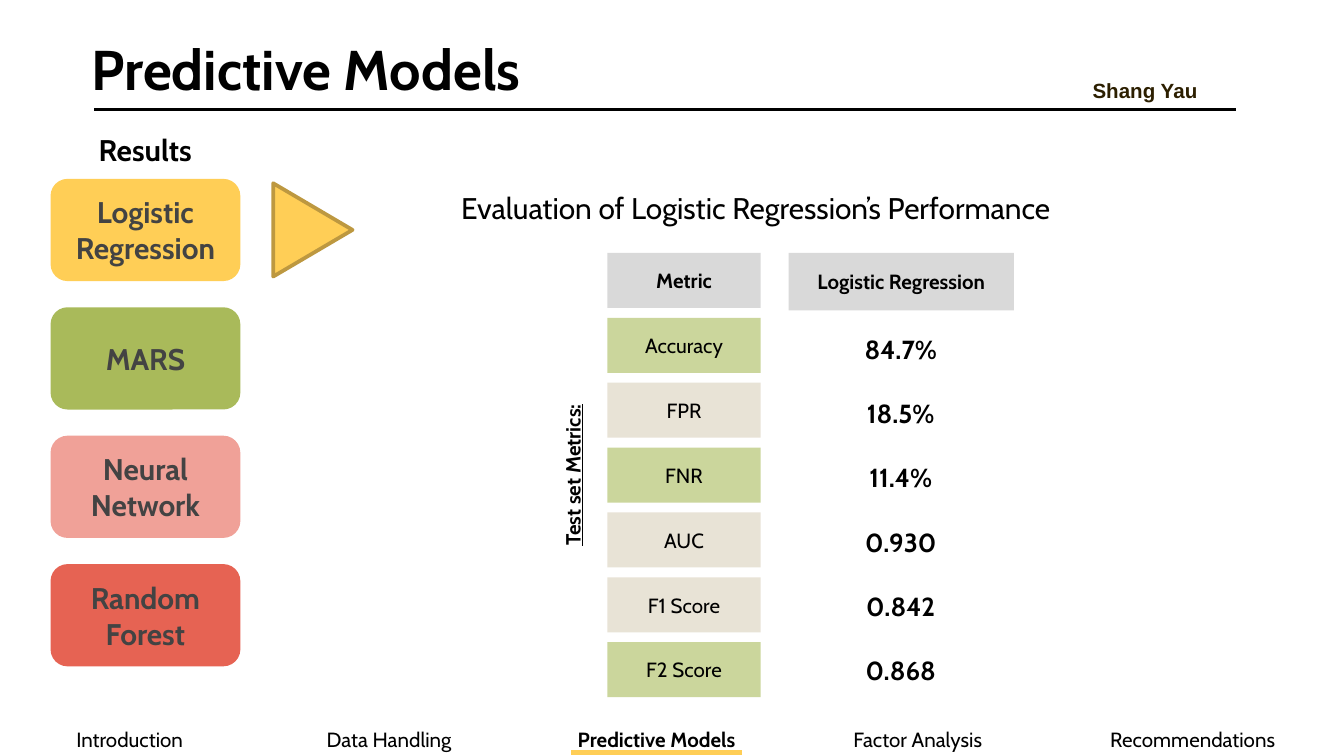
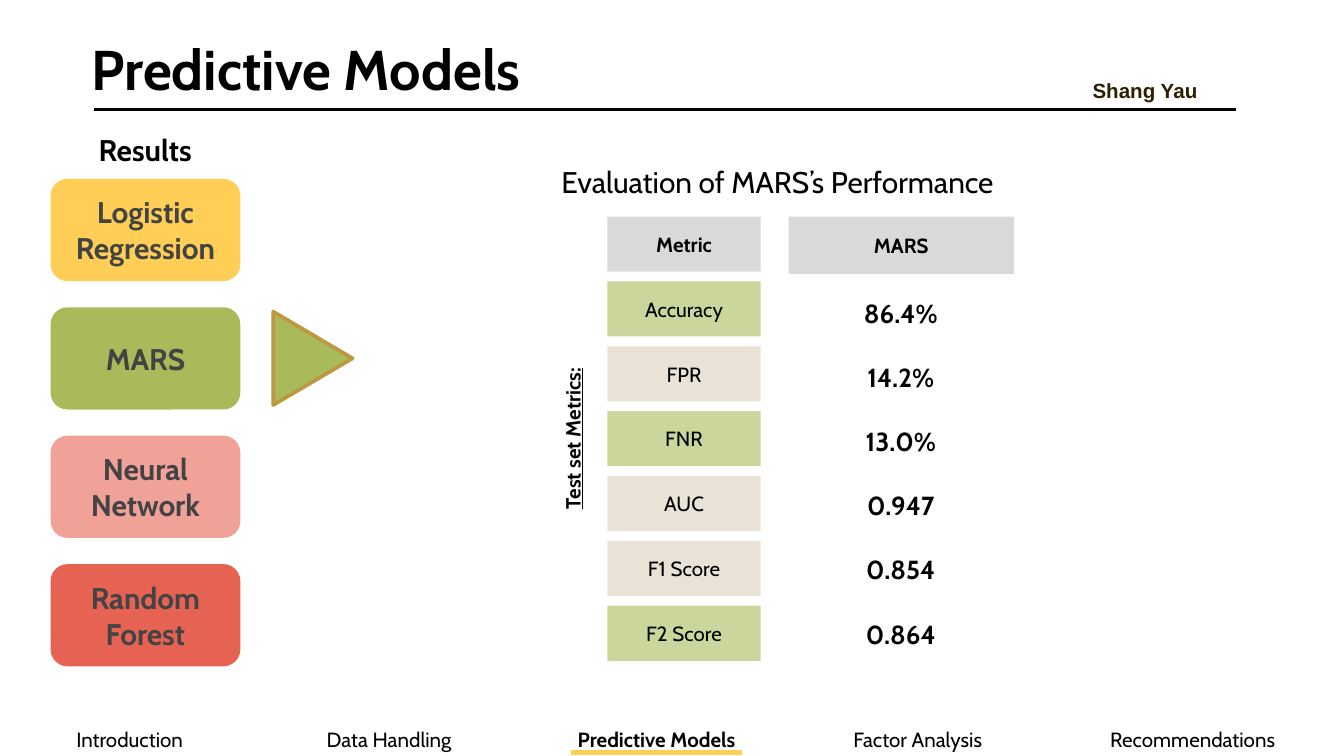
from dataclasses import dataclass

from lxml import etree
from pptx import Presentation
from pptx.dml.color import RGBColor
from pptx.enum.shapes import MSO_CONNECTOR, MSO_SHAPE
from pptx.enum.text import MSO_ANCHOR, MSO_AUTO_SIZE, PP_ALIGN
from pptx.oxml.ns import qn
from pptx.shapes.autoshape import Shape
from pptx.slide import Slide
from pptx.text.text import TextFrame
from pptx.util import Pt

BLACK, CHARCOAL, AUTHOR_BROWN = "000000", "434343", "2C1F00"
YELLOW, ARROW_EDGE = "FFCE56", "BD9840"
HEADER_GRAY, METRIC_GREEN, METRIC_BEIGE = "D9D9D9", "CBD69C", "E8E3D6"

SECTIONS = ["Introduction", "Data Handling", "Predictive Models",
            "Factor Analysis", "Recommendations"]
SECTION_WIDTHS = [139, 139, 147.6, 132.4, 162]
CURRENT_SECTION = "Predictive Models"

# Model buttons and metric grid
BUTTON_LEFT, BUTTON_TOP, BUTTON_PITCH = 27.1, 95.8, 68.8
BUTTON_WIDTH, BUTTON_HEIGHT = 101.7, 54.8
METRIC_LEFT, METRIC_WIDTH, METRIC_HEIGHT, METRIC_PITCH = 325.4, 82.2, 29.5, 34.75
VALUE_OFFSET, VALUE_PITCH = 39.6, 34.4


@dataclass(frozen=True)
class Box:
    left: float
    top: float
    width: float
    height: float


@dataclass(frozen=True)
class TextStyle:
    size: float
    bold: bool = False
    color: str = BLACK
    font: str = "Cabin"
    underline: bool = False
    align: PP_ALIGN = PP_ALIGN.CENTER
    anchor: MSO_ANCHOR = MSO_ANCHOR.MIDDLE
    inset: float = 7.2  # top and bottom


@dataclass(frozen=True)
class Model:
    name: str
    color: str


@dataclass(frozen=True)
class Metric:
    name: str
    color: str


@dataclass(frozen=True)
class Evaluation:
    model_index: int
    heading: str
    column: str
    heading_left: float
    heading_top: float
    grid_top: float
    values: tuple[str, ...]


TITLE = TextStyle(30, bold=True, align=PP_ALIGN.LEFT)
RESULTS = TextStyle(16, bold=True)
MODEL_NAME = TextStyle(16, bold=True, color=CHARCOAL)
HEADING = TextStyle(16)
SIDE_LABEL = TextStyle(11, bold=True, underline=True, anchor=MSO_ANCHOR.TOP)
COLUMN_HEADER = TextStyle(11, bold=True, inset=3.6)
METRIC_NAME = TextStyle(11, inset=3.6)
VALUE = TextStyle(14, bold=True, anchor=MSO_ANCHOR.TOP, inset=3.6)
AUTHOR = TextStyle(11, bold=True, color=AUTHOR_BROWN, font="Arial",
                   align=PP_ALIGN.LEFT, anchor=MSO_ANCHOR.TOP)
SECTION = TextStyle(11, anchor=MSO_ANCHOR.TOP, inset=3.6)
SECTION_NOW = TextStyle(11, bold=True, anchor=MSO_ANCHOR.TOP, inset=3.6)

MODELS = [
    Model("Logistic\vRegression", YELLOW),
    Model("MARS", "A9BA5A"),
    Model("Neural Network", "F0A198"),
    Model("Random Forest", "E66353"),
]
METRICS = [
    Metric("Accuracy", METRIC_GREEN),
    Metric("FPR", METRIC_BEIGE),
    Metric("FNR", METRIC_GREEN),
    Metric("AUC", METRIC_BEIGE),
    Metric("F1 Score", METRIC_BEIGE),
    Metric("F2 Score", METRIC_GREEN),
]
EVALUATIONS = [
    Evaluation(0, "Evaluation of Logistic Regression’s Performance",
               "Logistic Regression", 210.2, 101, 135.5,
               ("84.7%", "18.5%", "11.4%", "0.930", "0.842", "0.868")),
    Evaluation(1, "Evaluation of MARS’s Performance",
               "MARS", 221.8, 87, 116,
               ("86.4%", "14.2%", "13.0%", "0.947", "0.854", "0.864")),
]


def rgb(color: str) -> RGBColor:
    return RGBColor.from_string(color)


def write(frame: TextFrame, text: str, style: TextStyle) -> None:
    frame.text = text
    paragraph = frame.paragraphs[0]
    paragraph.alignment = style.align
    for run in paragraph.runs:
        run.font.name = style.font
        run.font.size = Pt(style.size)
        run.font.bold = style.bold
        run.font.underline = style.underline
        run.font.color.rgb = rgb(style.color)


def set_frame(frame: TextFrame, text: str, style: TextStyle) -> None:
    frame.word_wrap = True
    frame.vertical_anchor = style.anchor
    frame.margin_left = frame.margin_right = Pt(7.2)
    frame.margin_top = frame.margin_bottom = Pt(style.inset)
    write(frame, text, style)


def add_text(slide: Slide, box: Box, text: str, style: TextStyle) -> Shape:
    label = slide.shapes.add_textbox(
        Pt(box.left), Pt(box.top), Pt(box.width), Pt(box.height))
    set_frame(label.text_frame, text, style)
    return label


def add_block(slide: Slide, kind: MSO_SHAPE, box: Box, color: str) -> Shape:
    block = slide.shapes.add_shape(
        kind, Pt(box.left), Pt(box.top), Pt(box.width), Pt(box.height))
    block.shadow.inherit = False
    block.fill.solid()
    block.fill.fore_color.rgb = rgb(color)
    block.line.fill.background()
    return block


def add_rule(slide: Slide, left: float, right: float, y: float,
             color: str, weight: float) -> None:
    rule = slide.shapes.add_connector(
        MSO_CONNECTOR.STRAIGHT, Pt(left), Pt(y), Pt(right), Pt(y))
    rule.line.color.rgb = rgb(color)
    rule.line.width = Pt(weight)
    etree.SubElement(rule.line._get_or_add_ln().getparent(), qn("a:effectLst"))


def add_navigation(slide: Slide) -> None:
    table = slide.shapes.add_table(
        1, len(SECTIONS), Pt(0), Pt(386), Pt(720), Pt(29.5)).table
    table.first_row = table.horz_banding = False
    for index, (section, width) in enumerate(zip(SECTIONS, SECTION_WIDTHS)):
        table.columns[index].width = Pt(width)
        cell = table.cell(0, index)
        cell.fill.background()
        write(cell.text_frame, section,
              SECTION_NOW if section == CURRENT_SECTION else SECTION)
    add_rule(slide, 306, 397.5, 403.2, YELLOW, 3)


def add_header(slide: Slide) -> None:
    add_text(slide, Box(42, 13.7, 607, 45.4), "Predictive Models", TITLE)
    add_rule(slide, 50.4, 662.4, 58.5, BLACK, 1.5)
    add_text(slide, Box(578.2, 35.3, 75.6, 32.4), "Shang Yau", AUTHOR)


def add_models(slide: Slide, active: int) -> None:
    add_text(slide, Box(4.3, 69.5, 147, 20.9), "Results", RESULTS)
    for index, model in enumerate(MODELS):
        top = BUTTON_TOP + index * BUTTON_PITCH
        button = add_block(slide, MSO_SHAPE.FLOWCHART_ALTERNATE_PROCESS,
                           Box(BUTTON_LEFT, top, BUTTON_WIDTH, BUTTON_HEIGHT),
                           model.color)
        set_frame(button.text_frame, model.name, MODEL_NAME)

    # Arrow beside the model under evaluation
    width, height = 50, 42.5
    middle = BUTTON_TOP + active * BUTTON_PITCH + BUTTON_HEIGHT / 2
    arrow = add_block(slide, MSO_SHAPE.ISOSCELES_TRIANGLE,
                      Box(142.6, middle - height / 2, width, height),
                      MODELS[active].color)
    arrow.rotation = 90
    arrow.line.color.rgb = rgb(ARROW_EDGE)
    arrow.line.width = Pt(2)


def add_evaluation(slide: Slide, evaluation: Evaluation) -> None:
    top = evaluation.grid_top
    add_text(slide, Box(evaluation.heading_left, evaluation.heading_top, 389.5, 20.9),
             evaluation.heading, HEADING)
    side_label = add_text(slide, Box(187.2, top + 106.4, 237.6, 25.2),
                          "Test set Metrics:", SIDE_LABEL)
    side_label.rotation = 270

    # Metric column, header first
    for row, metric in enumerate([Metric("Metric", HEADER_GRAY), *METRICS]):
        box = Box(METRIC_LEFT, top + row * METRIC_PITCH, METRIC_WIDTH, METRIC_HEIGHT)
        block = add_block(slide, MSO_SHAPE.RECTANGLE, box, metric.color)
        set_frame(block.text_frame, metric.name, METRIC_NAME if row else COLUMN_HEADER)

    # Value column
    column = add_block(slide, MSO_SHAPE.RECTANGLE, Box(422.5, top, 120.7, 30.8),
                       HEADER_GRAY)
    set_frame(column.text_frame, evaluation.column, COLUMN_HEADER)
    for row, value in enumerate(evaluation.values):
        box = Box(441.5, top + VALUE_OFFSET + row * VALUE_PITCH, 82.2, 24.2)
        label = add_text(slide, box, value, VALUE)
        label.text_frame.auto_size = MSO_AUTO_SIZE.SHAPE_TO_FIT_TEXT


def main() -> None:
    deck = Presentation()
    deck.slide_width, deck.slide_height = Pt(720), Pt(405)
    for evaluation in EVALUATIONS:
        slide = deck.slides.add_slide(deck.slide_layouts[6])
        add_navigation(slide)
        add_header(slide)
        add_models(slide, evaluation.model_index)
        add_evaluation(slide, evaluation)
    deck.save("out.pptx")


if __name__ == "__main__":
    main()
